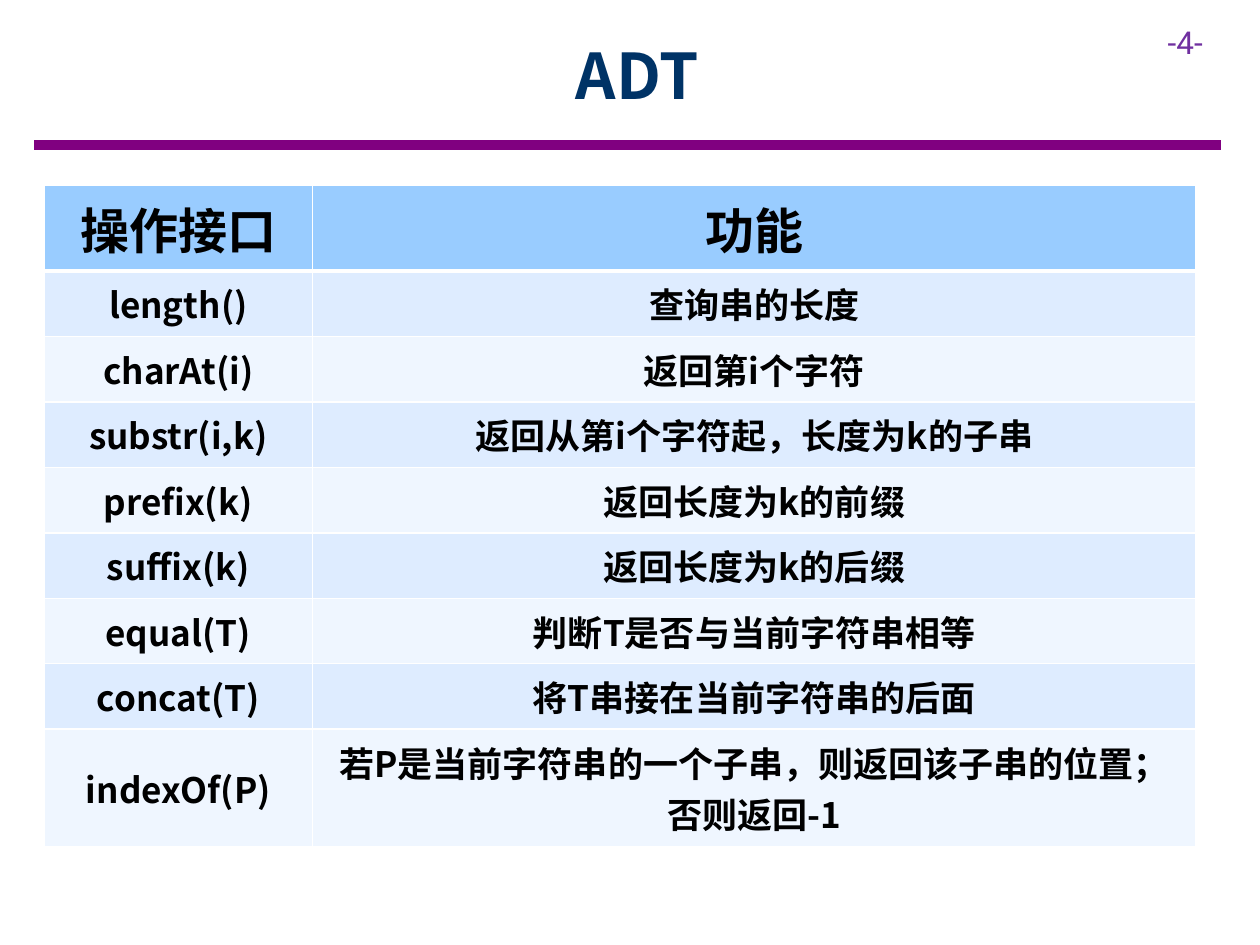
from lxml.etree import SubElement
from pptx import Presentation
from pptx.dml.color import RGBColor
from pptx.enum.text import MSO_ANCHOR, PP_ALIGN
from pptx.enum.shapes import MSO_CONNECTOR
from pptx.oxml.ns import qn
from pptx.util import Cm, Pt

BLACK = RGBColor(0x00, 0x00, 0x00)
WHITE = RGBColor(0xFF, 0xFF, 0xFF)
NAVY = RGBColor(0x00, 0x33, 0x66)
PURPLE = RGBColor(0x80, 0x00, 0x80)
VIOLET = RGBColor(0x70, 0x30, 0xA0)
HEADER_BLUE = RGBColor(0x99, 0xCC, 0xFF)
BANDS = (RGBColor(0xDE, 0xEC, 0xFF), RGBColor(0xEF, 0xF6, 0xFF))

HEADER = ("操作接口", "功能")
OPERATIONS = [
    ("length()", "查询串的长度"),
    ("charAt(i)", "返回第i个字符"),
    ("substr(i,k)", "返回从第i个字符起，长度为k的子串"),
    ("prefix(k)", "返回长度为k的前缀"),
    ("suffix(k)", "返回长度为k的后缀"),
    ("equal(T)", "判断T是否与当前字符串相等"),
    ("concat(T)", "将T串接在当前字符串的后面"),
    ("indexOf(P)", "若P是当前字符串的一个子串，则返回该子串的位置；否则返回-1"),
]
COLUMN_WIDTHS = (Cm(5.41), Cm(17.81))
ROW_HEIGHTS = [Cm(1.73)] + [Cm(1.32)] * 7 + [Cm(2.36)]


class SlideBuilder:
    font = "Noto Sans CJK SC"

    def __init__(self, slide):
        self.s = slide

    def add_run(self, tf, text, size, color, bold=True, font=None, align=PP_ALIGN.CENTER):
        p = tf.paragraphs[0]
        p.alignment = align
        r = p.add_run()
        r.text = text
        r.font.size = Pt(size)
        r.font.bold = bold
        r.font.color.rgb = color
        r.font.name = font or self.font
        SubElement(r.font._element, qn("a:ea")).set("typeface", self.font)

    def text(self, left, top, width, height, text, size, color,
             anchor=MSO_ANCHOR.TOP, **style):
        tf = self.s.shapes.add_textbox(left, top, width, height).text_frame
        tf.word_wrap = True
        tf.vertical_anchor = anchor
        self.add_run(tf, text, size, color, **style)

    def rule(self, left, right, y, color, width):
        sp = self.s.shapes.add_connector(MSO_CONNECTOR.STRAIGHT, left, y, right, y)
        sp.line.color.rgb = color
        sp.line.width = Pt(width)
        SubElement(sp._element.spPr, qn("a:effectLst"))

    def borders(self, cell, top=1, bottom=1):
        """Draw white cell borders; widths are in points."""
        tc_pr = cell._tc.get_or_add_tcPr()
        for side, width in (("L", 1), ("R", 1), ("T", top), ("B", bottom)):
            ln = SubElement(tc_pr, qn(f"a:ln{side}"), w=str(Pt(width)))
            fill = SubElement(ln, qn("a:solidFill"))
            SubElement(fill, qn("a:srgbClr"), val=str(WHITE))

    def table(self, left, top, rows, widths, heights):
        table = self.s.shapes.add_table(
            len(rows), len(widths), left, top, sum(widths), sum(heights)).table
        for column, width in zip(table.columns, widths):
            column.width = width
        for i, (row, height) in enumerate(zip(rows, heights)):
            table.rows[i].height = height
            for j, text in enumerate(row):
                cell = table.cell(i, j)
                cell.vertical_anchor = MSO_ANCHOR.MIDDLE
                self.borders(cell, top=3 if i == 1 else 1, bottom=3 if i == 0 else 1)
                cell.fill.solid()
                cell.fill.fore_color.rgb = BANDS[(i - 1) % 2] if i else HEADER_BLUE
                self.add_run(cell.text_frame, text, 20 if i else 28, BLACK)


def main():
    prs = Presentation()
    prs.slide_width, prs.slide_height = Cm(25.4), Cm(19.05)
    b = SlideBuilder(prs.slides.add_slide(prs.slide_layouts[6]))
    b.rule(Cm(0.69), Cm(24.61), Cm(2.92), PURPLE, 6)
    b.text(Cm(23.29), Cm(0.33), Cm(2.11), Cm(1.02), "-4-", 18, VIOLET,
           bold=False, font="Roboto", align=PP_ALIGN.LEFT)
    b.text(Cm(2.29), Cm(0.23), Cm(21.11), Cm(2.54), "ADT", 36, NAVY,
           anchor=MSO_ANCHOR.MIDDLE)
    b.table(Cm(0.89), Cm(3.73), [HEADER] + OPERATIONS, COLUMN_WIDTHS, ROW_HEIGHTS)
    prs.save("out.pptx")


if __name__ == "__main__":
    main()
